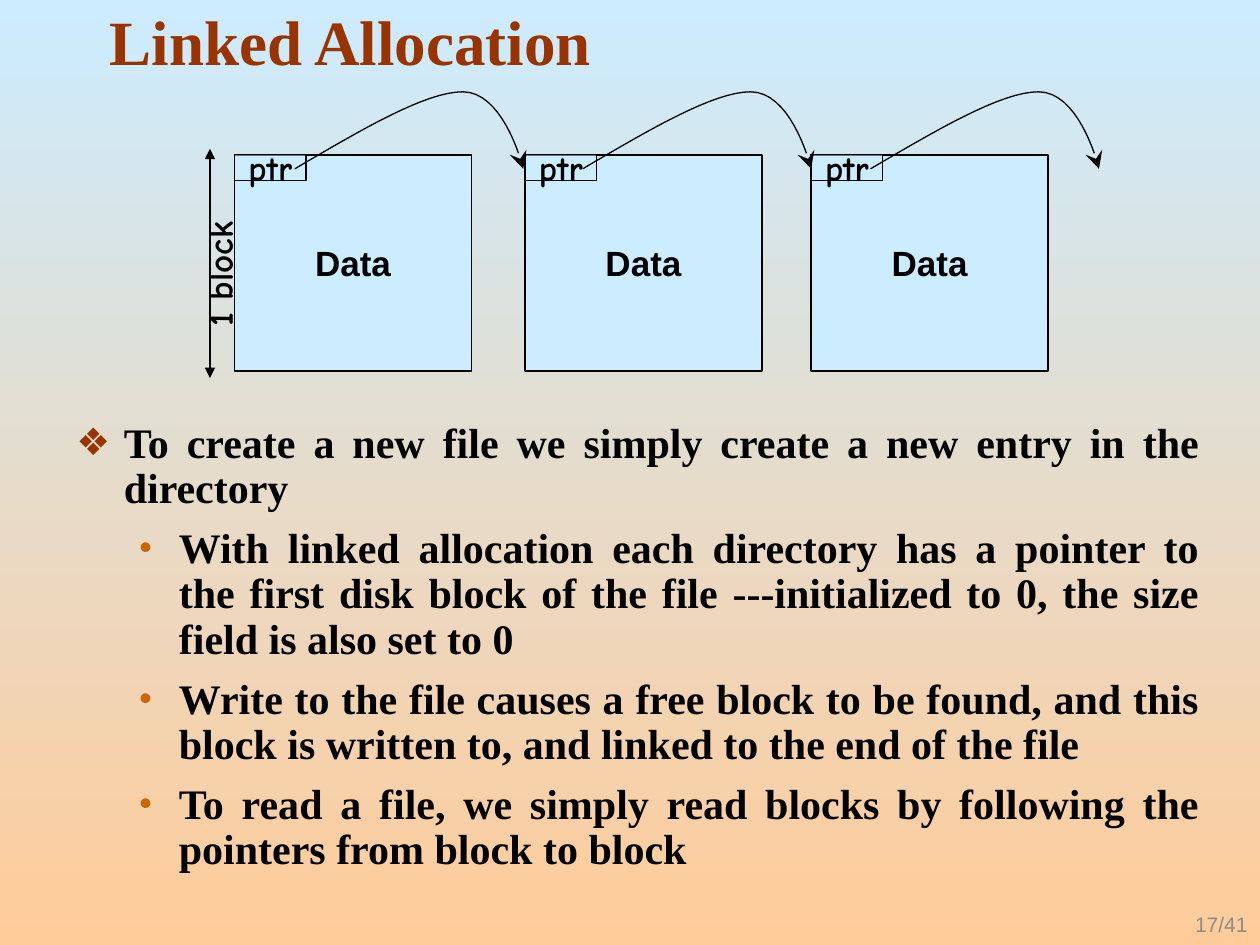
import pptx
import pptx.dml.color
import pptx.enum.shapes
import pptx.enum.text
import pptx.oxml.ns
import pptx.util
from lxml import etree

Pt = pptx.util.Pt
RGB = pptx.dml.color.RGBColor
ALIGN = pptx.enum.text.PP_ALIGN
ANCHOR = pptx.enum.text.MSO_ANCHOR
RECT = pptx.enum.shapes.MSO_SHAPE.RECTANGLE

BLACK = RGB(0x00, 0x00, 0x00)
SKY = RGB(0xCC, 0xEC, 0xFF)
PEACH = RGB(0xFF, 0xCC, 0x99)
RUST = RGB(0x99, 0x33, 0x00)
AMBER = RGB(0xCC, 0x66, 0x00)
GREY = RGB(0x8C, 0x8C, 0x8C)

HEAD = {"size": Pt(36), "name": "Times New Roman", "bold": True}
BODY = {"size": Pt(24), "name": "Times New Roman", "bold": True}
DATA = {"size": Pt(20), "name": "Arial", "bold": True}
HAND = {"size": Pt(20), "name": "Comic Neue", "bold": True}
PAGE = {"size": Pt(12), "name": "Arial", "bold": False}


def add_tag(parent, tag, **attrs):
    return etree.SubElement(parent, pptx.oxml.ns.qn(tag), attrs)


def write(para, text, fmt, color, align):
    para.alignment = align
    run = para.add_run()
    run.text = text
    for key, value in fmt.items():
        setattr(run.font, key, value)
    run.font.color.rgb = color


deck = pptx.Presentation()
deck.slide_width, deck.slide_height = Pt(720), Pt(540)
slide = deck.slides.add_slide(deck.slide_layouts[1])
shapes = slide.shapes

# Background, sky at the top to peach at the bottom
back = slide.background.fill
back.gradient()
back.gradient_angle = 270
for stop, color in zip(back.gradient_stops, (SKY, PEACH)):
    stop.color.rgb = color
    stop.position = 0 if color == SKY else 1

# Title and list
title, body = shapes.title, slide.placeholders[1]
for holder, place in ((title, (55.5, 0, 636, 48)), (body, (36.5, 237.5, 656, 270))):
    holder.left, holder.top, holder.width, holder.height = map(Pt, place)
    holder.text_frame.auto_size = pptx.enum.text.MSO_AUTO_SIZE.NONE
title.text_frame.vertical_anchor = ANCHOR.BOTTOM
write(title.text_frame.paragraphs[0], "Linked Allocation", HEAD, RUST, ALIGN.LEFT)

# Per level: bullet, colour, size in percent, left margin, hanging indent
LEVELS = [("❖", RUST, 90, 27, 27), ("•", AMBER, 85, 58.5, 22.5)]
ITEMS = [
    (0, "To create a new file we simply create a new entry in the directory"),
    (1, "With linked allocation each directory has a pointer to the first disk block "
        "of the file ---initialized to 0, the size field is also set to 0"),
    (1, "Write to the file causes a free block to be found, and this block is "
        "written to, and linked to the end of the file"),
    (1, "To read a file, we simply read blocks by following the pointers from "
        "block to block"),
]
frame = body.text_frame
for num, (level, text) in enumerate(ITEMS):
    para = frame.add_paragraph() if num else frame.paragraphs[0]
    para.level = level
    para.line_spacing, para.space_before = 0.9, Pt(8.4)
    write(para, text, BODY, BLACK, ALIGN.JUSTIFY)
    mark, color, size, left, hang = LEVELS[level]
    props = para._p.get_or_add_pPr()
    props.set("marL", str(Pt(left)))
    props.set("indent", str(-Pt(hang)))
    add_tag(add_tag(props, "a:buClr"), "a:srgbClr", val=str(color))
    add_tag(props, "a:buSzPct", val=str(size * 1000))
    add_tag(props, "a:buChar", char=mark)

# Disk blocks, each with a half-clear pointer field in its corner
TOP = 88.5
for text, fmt, wide, high in (("Data", DATA, 135.5, 123.5), ("ptr", HAND, 41, 14.5)):
    for left in (134, 300, 463.5):
        box = shapes.add_shape(RECT, Pt(left), Pt(TOP), Pt(wide), Pt(high))
        box.shadow.inherit = False
        box.fill.solid()
        box.fill.fore_color.rgb = SKY
        box.line.color.rgb = BLACK
        box.line.width = Pt(0.75)
        box.text_frame.word_wrap = False
        box.text_frame.vertical_anchor = ANCHOR.MIDDLE
        write(box.text_frame.paragraphs[0], text, fmt, BLACK, ALIGN.CENTER)
        if text == "ptr":
            tint = box.fill._xPr.find(".//" + pptx.oxml.ns.qn("a:srgbClr"))
            add_tag(tint, "a:alpha", val="50000")

# Pointer arcs: two Bezier spans, drawn in short steps
SPANS = [
    ((0, 0), (37.5, -22), (74.5, -44), (96, -44)),
    ((96, -44), (118, -44), (129, -6.5), (130.5, 0)),
]
STEPS = 16
arc = []
for span in SPANS:
    for step in range(1, STEPS + 1):
        t = step / STEPS
        parts = ((1 - t) ** 3, 3 * t * (1 - t) ** 2, 3 * t * t * (1 - t), t ** 3)
        arc.append([sum(w * p[axis] for w, p in zip(parts, span)) for axis in (0, 1)])
lines = []
for num in range(3):
    left, base = 168.5 + 164.5 * num, 96.5
    pen = shapes.build_freeform(Pt(left), Pt(base))
    pen.add_line_segments([(Pt(left + x), Pt(base + y)) for x, y in arc], close=False)
    curve = pen.convert_to_shape()
    curve.shadow.inherit = False
    curve.fill.background()
    lines.append((curve, {"a:tailEnd": ("stealth", "lg")}))

# Height arrow
STRAIGHT = pptx.enum.shapes.MSO_CONNECTOR.STRAIGHT
rule = shapes.add_connector(STRAIGHT, Pt(120), Pt(85), Pt(120), Pt(216))
lines.append((rule, {"a:headEnd": ("triangle", "med"), "a:tailEnd": ("triangle", "med")}))
for line, ends in lines:
    line.line.color.rgb = BLACK
    line.line.width = Pt(0.75)
    for tag, (kind, size) in ends.items():
        add_tag(line.line._get_or_add_ln(), tag, type=kind, w=size, len=size)
add_tag(rule._element.spPr, "a:effectLst")

# Height label and page number
LABELS = [
    ("1 block", HAND, BLACK, ALIGN.CENTER, (83, 141, 84, 31), 270, False),
    ("17/41", PAGE, GREY, ALIGN.RIGHT, (596, 516, 124, 24), 0, True),
]
for text, fmt, color, align, place, turn, wrap in LABELS:
    label = shapes.add_textbox(*map(Pt, place))
    label.rotation = turn
    label.text_frame.word_wrap = wrap
    label.text_frame.vertical_anchor = ANCHOR.MIDDLE if wrap else ANCHOR.TOP
    write(label.text_frame.paragraphs[0], text, fmt, color, align)

deck.save("out.pptx")
